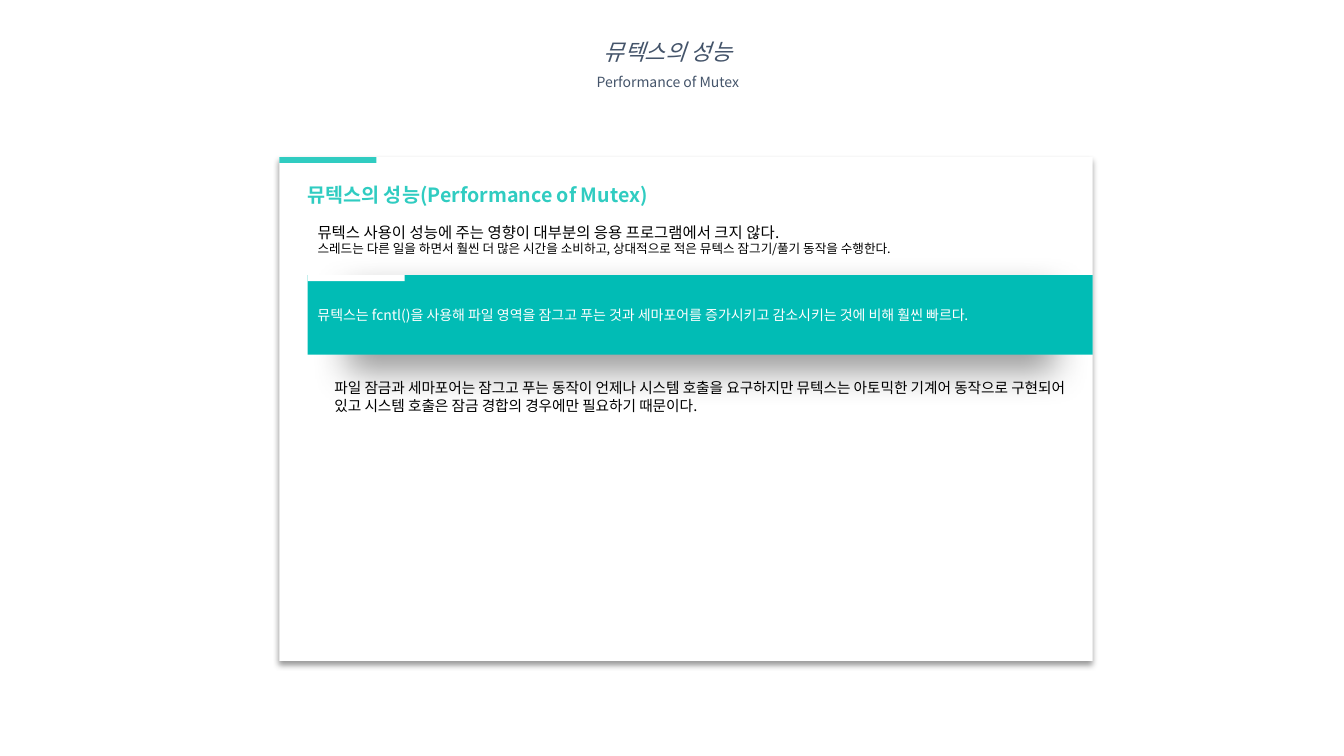
from dataclasses import dataclass

from lxml import etree
from pptx import Presentation
from pptx import util as u
from pptx.dml.color import RGBColor
from pptx.enum import shapes, text
from pptx.oxml import ns

FONT = "Noto Sans CJK KR"
HUES = {
    "slate": "44546A",
    "mint": "30CCC1",
    "teal": "01BCB5",
    "white": "FFFFFF",
    "black": "000000",
}


@dataclass(frozen=True)
class Line:
    words: str
    size: float
    hue: str
    bold: bool = False
    slant: bool = False


@dataclass(frozen=True)
class Shade:
    blur: float
    drop: float
    scale: int


@dataclass(frozen=True)
class Panel:
    box: tuple[float, float, float, float]
    fill: str
    tab: str
    shade: Shade
    line: Line
    frame: dict


@dataclass(frozen=True)
class Note:
    box: tuple[float, float, float, float]
    lines: tuple[Line, ...]
    style: dict


def apply(item, style: dict) -> None:
    for name, value in style.items():
        setattr(item, name, value)


def write(frame, lines: tuple[Line, ...], style: dict) -> None:
    frame.word_wrap = True
    for i, line in enumerate(lines):
        para = frame.add_paragraph() if i else frame.paragraphs[0]
        apply(para, style)
        run = para.add_run()
        run.text = line.words
        apply(run.font, {
            "name": FONT,
            "size": u.Pt(line.size),
            "bold": line.bold,
            "italic": line.slant,
        })
        run.font.color.rgb = RGBColor.from_string(HUES[line.hue])
        latin = run.font._element.find(ns.qn("a:latin"))
        east = etree.Element(ns.qn("a:ea"), typeface=FONT)
        latin.addnext(east)


def block(slide, box: tuple, hue: str):
    rect = slide.shapes.add_shape(
        shapes.MSO_SHAPE.RECTANGLE, *map(u.Pt, box))
    rect.fill.solid()
    rect.fill.fore_color.rgb = RGBColor.from_string(HUES[hue])
    rect.line.fill.background()
    rect.shadow.inherit = False
    return rect


def cast(rect, shade: Shade) -> None:
    root = rect._element.spPr.find(ns.qn("a:effectLst"))
    outer = etree.SubElement(root, ns.qn("a:outerShdw"), {
        "blurRad": str(u.Pt(shade.blur)),
        "dist": str(u.Pt(shade.drop)),
        "dir": "5400000",
        "sx": str(shade.scale * 1000),
        "algn": "ctr",
        "rotWithShape": "0",
    })
    tint = etree.SubElement(outer, ns.qn("a:srgbClr"), val=HUES["black"])
    etree.SubElement(tint, ns.qn("a:alpha"), val="40000")


def draw_panel(slide, panel: Panel) -> None:
    rect = block(slide, panel.box, panel.fill)
    cast(rect, panel.shade)
    apply(rect.text_frame, panel.frame)
    write(rect.text_frame, (panel.line,), LEFT)
    left, top = panel.box[:2]
    block(slide, (left, top, 69.3, 4.2), panel.tab)


def draw_note(slide, note: Note) -> None:
    box = slide.shapes.add_textbox(*map(u.Pt, note.box))
    write(box.text_frame, note.lines, note.style)


LEFT = {"alignment": text.PP_ALIGN.LEFT}
HEAD = {"alignment": text.PP_ALIGN.CENTER, "line_spacing": 1.5}

TITLE = Note((283, 14.4, 388, 52), (
    Line("뮤텍스의 성능", 16, "slate", slant=True),
    Line("Performance of Mutex", 10, "slate"),
), HEAD)

PANELS = (
    Panel((199.5, 112.2, 581, 360), "white", "mint", Shade(4, 3, 100),
          Line("뮤텍스의 성능(Performance of Mutex)", 14, "mint", bold=True),
          {"vertical_anchor": text.MSO_ANCHOR.TOP,
           "margin_left": u.Pt(20), "margin_right": u.Pt(20),
           "margin_top": u.Pt(18.5)}),
    Panel((219.7, 196.6, 560.8, 56.8), "teal", "white", Shade(26, 11, 90),
          Line("뮤텍스는 fcntl()을 사용해 파일 영역을 잠그고 푸는 것과 "
               "세마포어를 증가시키고 감소시키는 것에 비해 훨씬 빠르다.",
               10, "white"),
          {"vertical_anchor": text.MSO_ANCHOR.MIDDLE}),
)

NOTES = (
    Note((219.7, 155.5, 548.6, 31.7), (
        Line("뮤텍스 사용이 성능에 주는 영향이 대부분의 응용 프로그램에서 "
             "크지 않다.", 11, "black"),
        Line("스레드는 다른 일을 하면서 훨씬 더 많은 시간을 소비하고, "
             "상대적으로 적은 뮤텍스 잠그기/풀기 동작을 수행한다.",
             9, "black"),
    ), LEFT),
    Note((231.8, 267.1, 548.6, 32.4), (
        Line("파일 잠금과 세마포어는 잠그고 푸는 동작이 언제나 시스템 호출을 "
             "요구하지만 뮤텍스는 아토믹한 기계어 동작으로 구현되어 있고 "
             "시스템 호출은 잠금 경합의 경우에만 필요하기 때문이다.",
             10.5, "black"),
    ), LEFT),
)


def main() -> None:
    deck = Presentation()
    apply(deck, {"slide_width": u.Pt(960), "slide_height": u.Pt(540)})
    slide = deck.slides.add_slide(deck.slide_layouts[6])
    draw_note(slide, TITLE)
    for panel in PANELS:
        draw_panel(slide, panel)
    for note in NOTES:
        draw_note(slide, note)
    deck.save("out.pptx")


if __name__ == "__main__":
    main()
